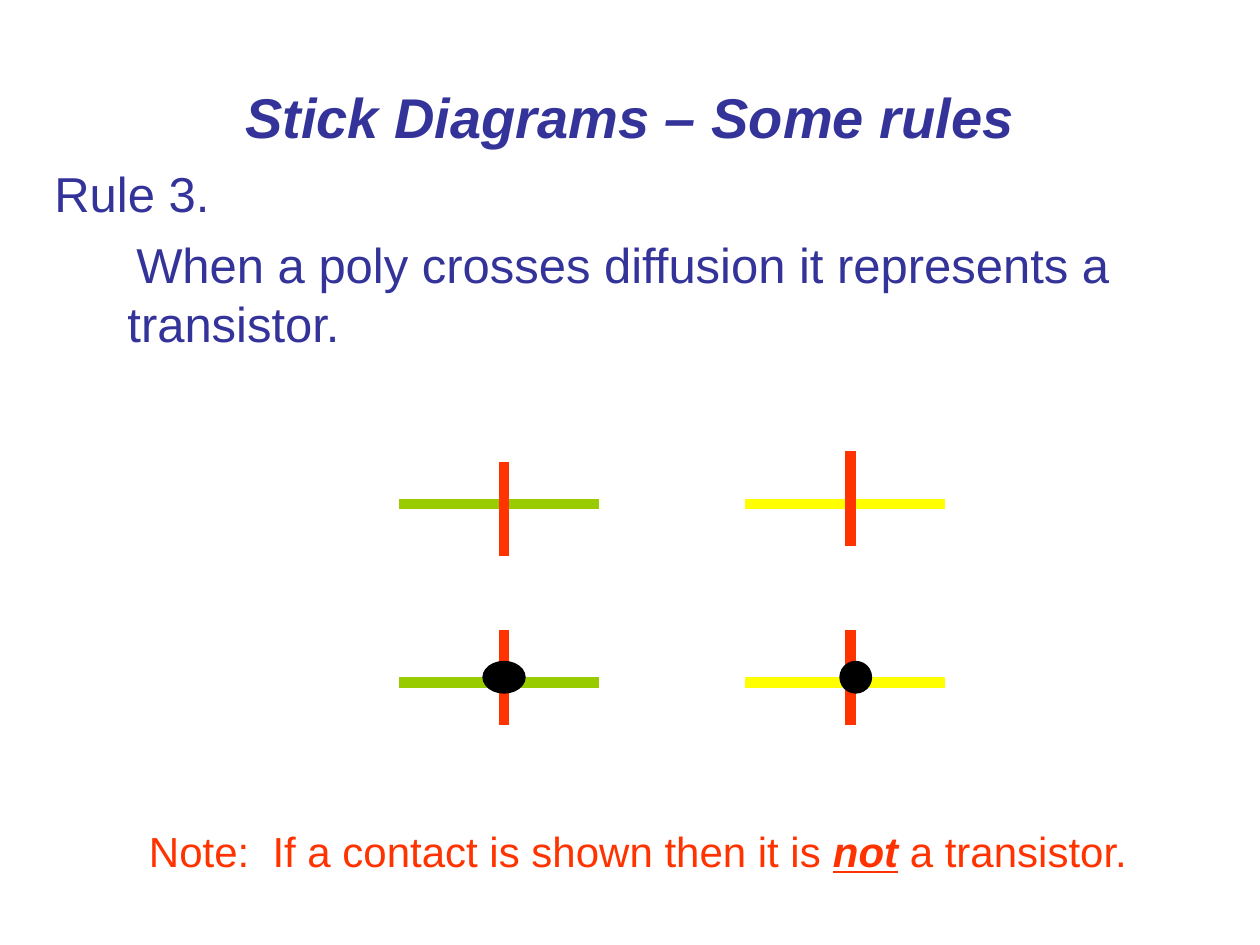
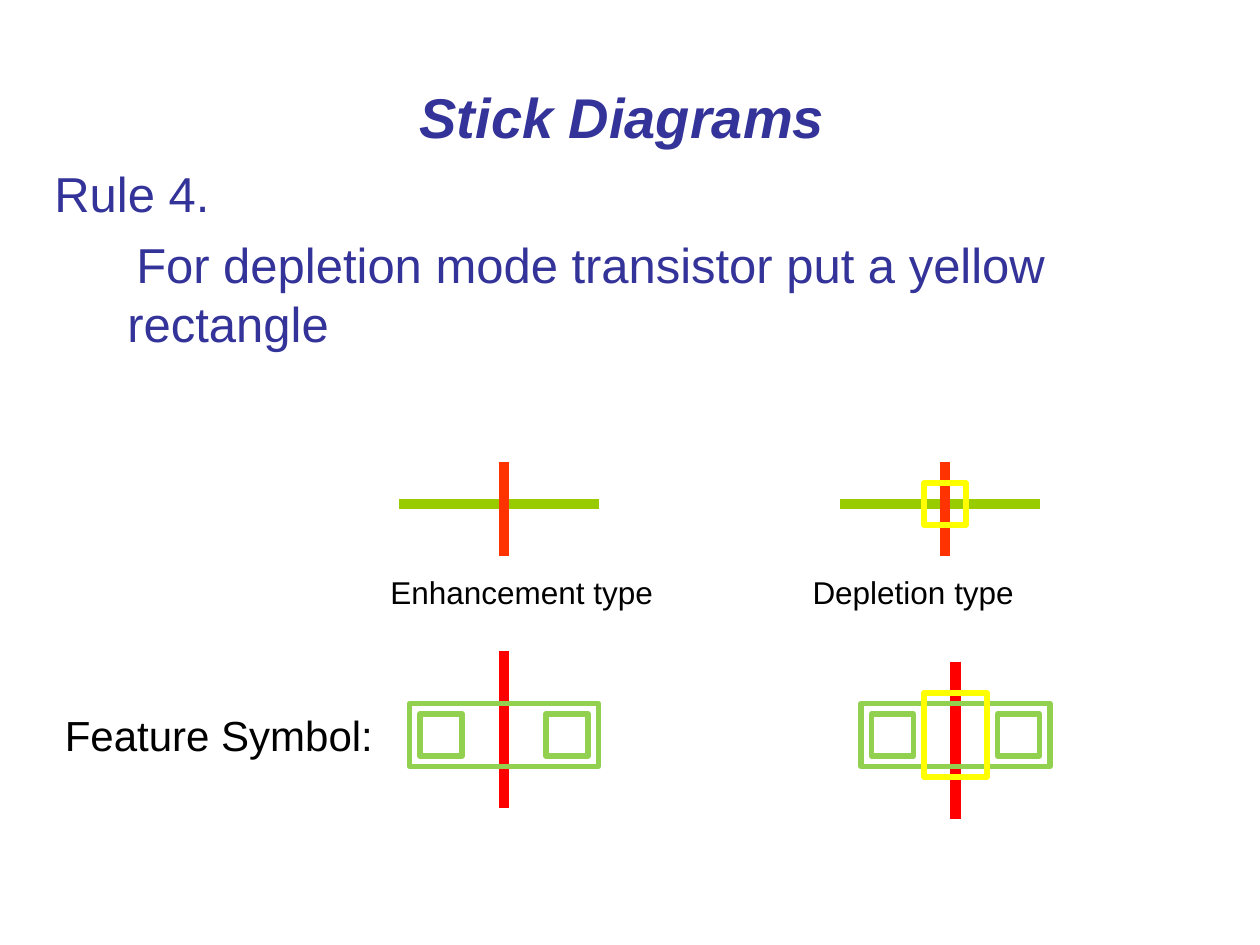
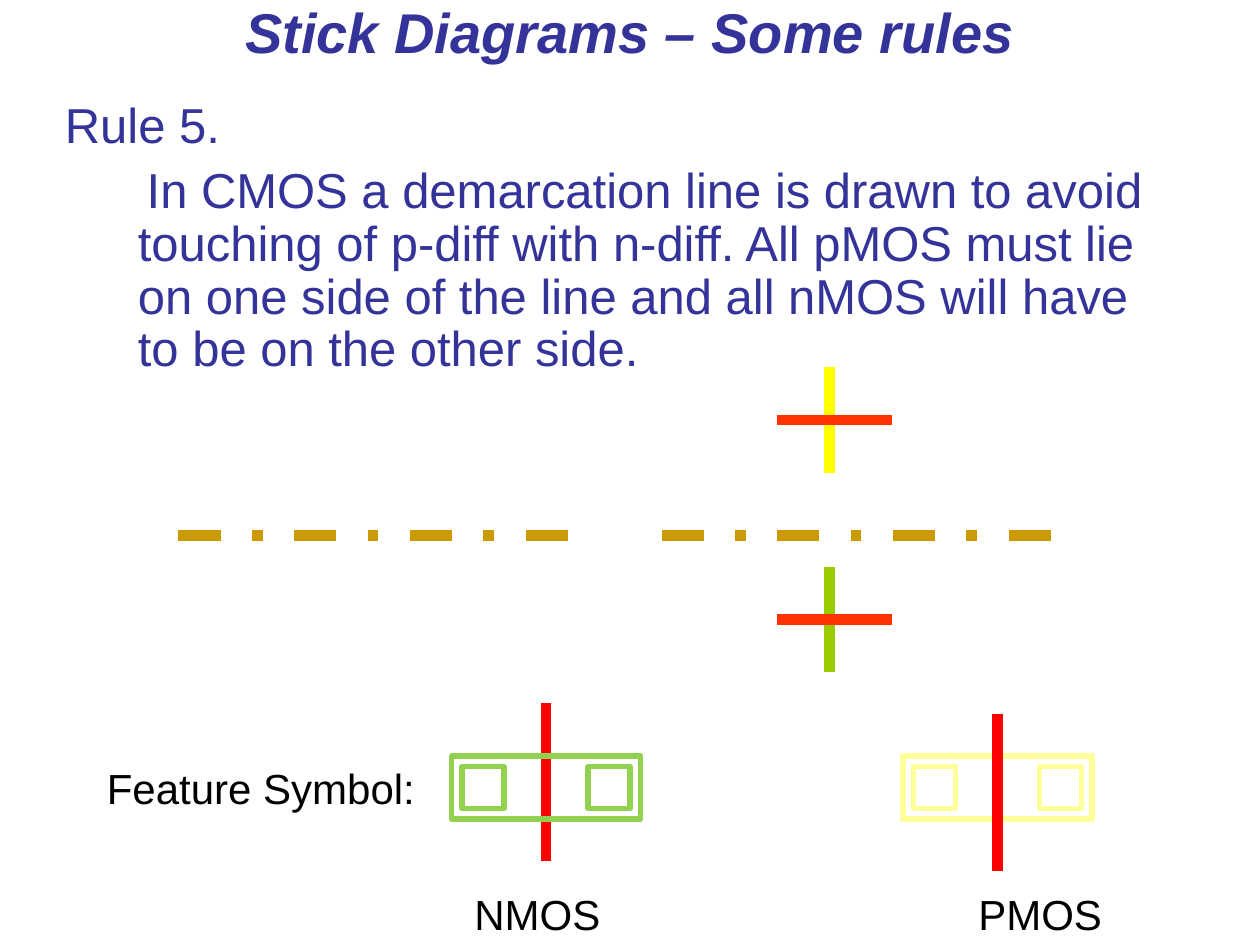
import dataclasses

import lxml.etree
import pptx
import pptx.dml.color
import pptx.enum.dml
import pptx.enum.shapes
import pptx.enum.text
import pptx.oxml.ns
import pptx.util

COLUMNS, ROWS = 120, 90
CELL = pptx.util.Inches(10) // COLUMNS


@dataclasses.dataclass(frozen=True)
class Theme:
    font: str = "Arial"
    ink: str = "333399"
    black: str = "000000"
    poly: str = "FF3300"
    gate: str = "FF0000"
    n_diffusion: str = "99CC00"
    p_diffusion: str = "FFFF00"
    n_feature: str = "92D050"
    p_feature: str = "FFFF99"
    demarcation: str = "CC9900"
    title_size: int = 32
    rule_size: int = 28
    note_size: int = 24
    caption_size: int = 18
    stick_width: int = 6
    outline_width: int = 3


THEME = Theme()


def cells(*counts):
    return [pptx.util.Emu(round(count * CELL)) for count in counts]


def rgb(colour):
    return pptx.dml.color.RGBColor.from_string(colour)


def style(font, size, colour):
    font.name = THEME.font
    font.size = pptx.util.Pt(size)
    font.color.rgb = rgb(colour)


def add_tab(paragraph, inches):
    stops = lxml.etree.SubElement(
        paragraph._p.get_or_add_pPr(), pptx.oxml.ns.qn("a:tabLst"))
    lxml.etree.SubElement(
        stops, pptx.oxml.ns.qn("a:tab"), pos=str(pptx.util.Inches(inches)), algn="l")


def add_text_frame(slide, box):
    frame = slide.shapes.add_textbox(*cells(*box)).text_frame
    frame.word_wrap = True
    return frame


def add_label(slide, box, text, size, tab=None):
    paragraph = add_text_frame(slide, box).paragraphs[0]
    paragraph.text = text
    if tab:
        add_tab(paragraph, tab)
    style(paragraph.font, size, THEME.black)


def add_heading(slide, box, text):
    heading = slide.shapes.title
    heading.left, heading.top, heading.width, heading.height = cells(*box)
    heading.text_frame.vertical_anchor = pptx.enum.text.MSO_ANCHOR.MIDDLE
    paragraph = heading.text_frame.paragraphs[0]
    paragraph.text = text
    paragraph.alignment = pptx.enum.text.PP_ALIGN.CENTER
    style(paragraph.font, THEME.title_size, THEME.ink)
    paragraph.font.bold = paragraph.font.italic = True


def add_rule(slide, box, number, statement, line_spacing=None):
    frame = add_text_frame(slide, box)
    name, detail = frame.paragraphs[0], frame.add_paragraph()
    name.text = f"Rule {number}."
    detail.text = statement
    detail.space_before = pptx.util.Pt(7)
    indents = detail._p.get_or_add_pPr()
    indents.set("marL", str(pptx.util.Inches(0.58)))
    indents.set("indent", str(pptx.util.Inches(0.07)))
    for paragraph in (name, detail):
        paragraph.line_spacing = line_spacing
        style(paragraph.font, THEME.rule_size, THEME.ink)


def add_stick(slide, colour, start, end, dash=None):
    stick = slide.shapes.add_connector(
        pptx.enum.shapes.MSO_CONNECTOR.STRAIGHT, *cells(*start, *end))
    stick.line.color.rgb = rgb(colour)
    stick.line.width = pptx.util.Pt(THEME.stick_width)
    if dash:
        stick.line.dash_style = dash
    lxml.etree.SubElement(stick._element.spPr, pptx.oxml.ns.qn("a:effectLst"))


def add_outline(slide, colour, box):
    outline = slide.shapes.add_shape(
        pptx.enum.shapes.MSO_SHAPE.RECTANGLE, *cells(*box))
    outline.shadow.inherit = False
    outline.fill.background()
    outline.line.color.rgb = rgb(colour)
    outline.line.width = pptx.util.Pt(THEME.outline_width)


def add_contact(slide, box):
    contact = slide.shapes.add_shape(
        pptx.enum.shapes.MSO_SHAPE.OVAL, *cells(*box))
    contact.shadow.inherit = False
    contact.fill.solid()
    contact.fill.fore_color.rgb = rgb(THEME.black)
    contact.line.color.rgb = rgb(THEME.black)
    contact.line.width = pptx.util.Pt(0.75)


def add_upright_poly(slide, left, top, diffusion, drop):
    level = top + drop
    add_stick(slide, diffusion, (left, level), (left + 19, level))
    add_stick(slide, THEME.poly, (left + 10, top), (left + 10, top + 9))


def add_level_poly(slide, left, top, diffusion):
    add_stick(slide, diffusion, (left + 5, top), (left + 5, top + 10))
    add_stick(slide, THEME.poly, (left, top + 5), (left + 11, top + 5))


def add_feature(slide, left, top, colour, gate_rise, gate_in_front=False):
    def add_gate():
        gate_top = top - gate_rise
        add_stick(slide, THEME.gate, (left + 9, gate_top), (left + 9, gate_top + 15))

    if not gate_in_front:
        add_gate()
    add_outline(slide, colour, (left, top, 18, 6))
    for offset in (1, 13):
        add_outline(slide, colour, (left + offset, top + 1, 4, 4))
    if gate_in_front:
        add_gate()


def add_feature_label(slide, left, top):
    add_label(slide, (left, top, 36, 6), "Feature Symbol:", THEME.note_size)


def add_note(slide, box):
    paragraph = add_text_frame(slide, box).paragraphs[0]
    style(paragraph.font, THEME.note_size, THEME.poly)
    for text in ("Note:  If a contact is shown then it is ", "not", " a transistor."):
        phrase = paragraph.add_run()
        phrase.text = text
        if text == "not":
            phrase.font.bold = phrase.font.italic = phrase.font.underline = True


def build_crossing_rule(slide):
    add_heading(slide, (6, 3.6, 108, 15), "Stick Diagrams – Some rules")
    add_rule(slide, (4, 15, 108, 22), 3,
             "When a poly crosses diffusion it represents a transistor.")
    add_note(slide, (13, 78, 100, 6))
    kinds = (
        (38, 44, 4, THEME.n_diffusion, (46, 63, 4, 3)),
        (71, 43, 5, THEME.p_diffusion, (80, 63, 3, 3)),
    )
    for left, top, drop, diffusion, contact in kinds:
        add_upright_poly(slide, left, top, diffusion, drop)
        add_upright_poly(slide, left, 60, diffusion, 5)
        add_contact(slide, contact)


def build_depletion_rule(slide):
    add_heading(slide, (6, 3.6, 108, 15), "Stick Diagrams ")
    add_rule(slide, (4, 15, 108, 22), 4,
             "For depletion mode transistor put a yellow rectangle")
    for left in (38, 80):
        add_upright_poly(slide, left, 44, THEME.n_diffusion, 4)
    add_outline(slide, THEME.p_diffusion, (88, 46, 4, 4))
    add_label(slide, (36, 54, 75, 5), "Enhancement type\tDepletion type",
              THEME.caption_size, tab=3.35)
    add_feature(slide, 39, 67, THEME.n_feature, 5)
    add_feature(slide, 82, 67, THEME.n_feature, 4)
    add_outline(slide, THEME.p_diffusion, (88, 66, 6, 8))
    add_feature_label(slide, 5, 67)


def build_demarcation_rule(slide):
    add_heading(slide, (6, -1, 108, 8), "Stick Diagrams – Some rules")
    add_rule(slide, (5, 9, 108, 30), 5,
             "In CMOS a demarcation line is drawn to avoid touching of p-diff "
             "with n-diff. All pMOS must lie on one side of the line and all "
             "nMOS will have to be on the other side.", line_spacing=0.9)
    for left in (17, 63):
        add_stick(slide, THEME.demarcation, (left, 51), (left + 38, 51),
                  pptx.enum.dml.MSO_LINE.DASH_DOT)
    add_level_poly(slide, 74, 35, THEME.p_diffusion)
    add_level_poly(slide, 74, 54, THEME.n_diffusion)
    add_feature(slide, 43, 72, THEME.n_feature, 5)
    add_feature(slide, 86, 72, THEME.p_feature, 4, gate_in_front=True)
    add_feature_label(slide, 9, 72)
    add_label(slide, (44, 84, 66, 6), "NMOS\tPMOS", THEME.note_size, tab=4)


def main():
    deck = pptx.Presentation()
    deck.slide_width, deck.slide_height = cells(COLUMNS, ROWS)
    title_only = deck.slide_layouts[5]
    for build in (build_crossing_rule, build_depletion_rule, build_demarcation_rule):
        build(deck.slides.add_slide(title_only))
    deck.save("out.pptx")


if __name__ == "__main__":
    main()
